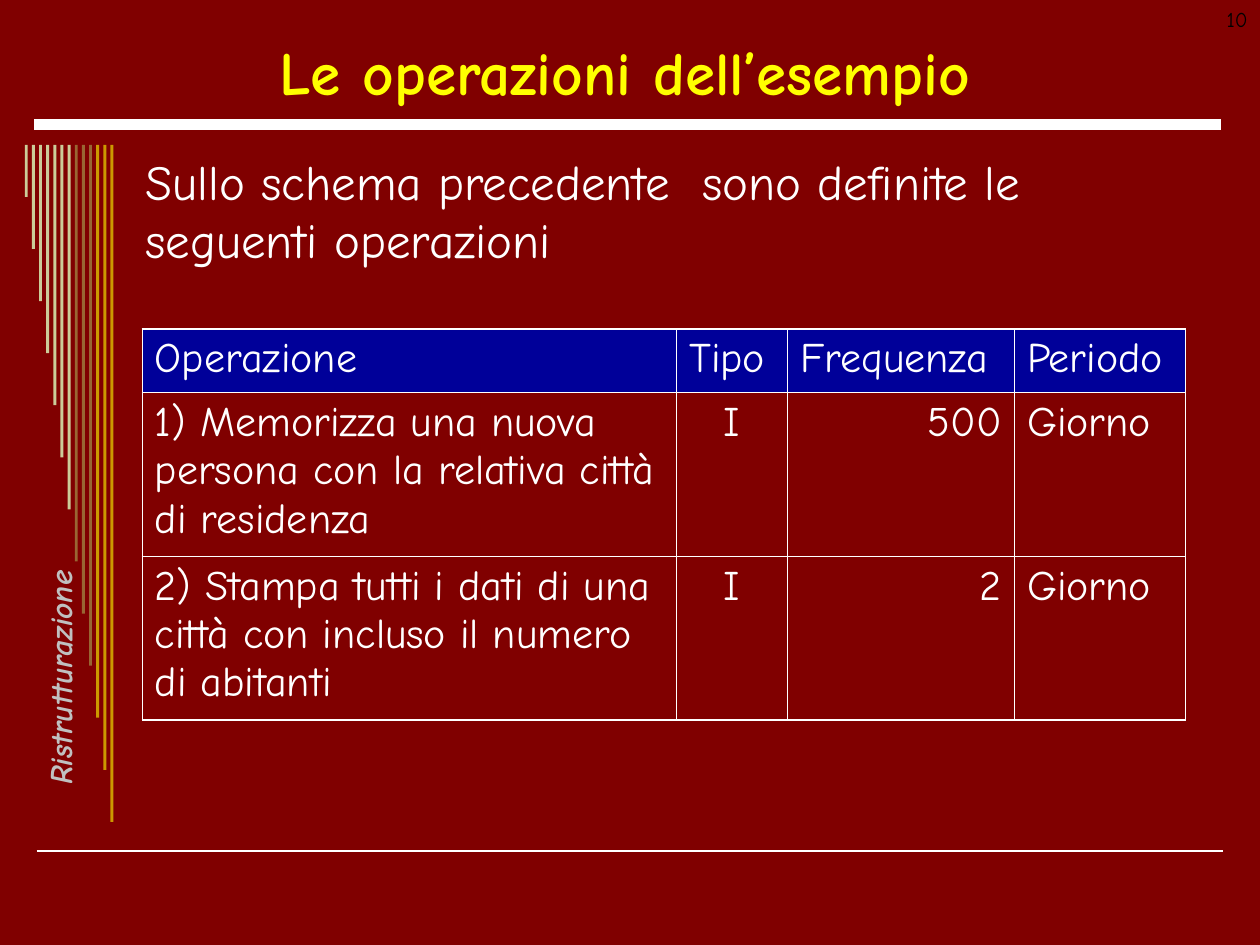
from dataclasses import dataclass

from lxml.etree import SubElement
from pptx import Presentation
from pptx.dml.color import RGBColor
from pptx.enum.shapes import MSO_CONNECTOR, MSO_SHAPE
from pptx.enum.text import MSO_ANCHOR, PP_ALIGN
from pptx.oxml.ns import qn
from pptx.util import Cm, Pt

FONT = "Comic Neue"
WHITE = "FFFFFF"
BAR_COLOURS = ["CCCC99"] * 7 + ["996633"] * 3 + ["CC9900"] * 3
COLUMN_WIDTHS = [10.77, 2.24, 4.57, 3.45]
ROW_HEIGHTS = [1.28, 3.3, 3.3]
OPERATIONS = [
    ["Operazione", "Tipo", "Frequenza", "Periodo"],
    ["1) Memorizza una nuova persona con la relativa città di residenza",
     "I", "500", "Giorno"],
    ["2) Stampa tutti i dati di una città con incluso il numero di abitanti",
     "I", "2", "Giorno"],
]
BODY_ALIGNMENTS = [PP_ALIGN.LEFT, PP_ALIGN.CENTER, PP_ALIGN.RIGHT, PP_ALIGN.LEFT]


@dataclass
class Label:
    text: str
    left: float
    top: float
    width: float
    height: float
    size: float
    colour: str
    align: PP_ALIGN = PP_ALIGN.LEFT
    anchor: MSO_ANCHOR = MSO_ANCHOR.TOP
    bold: bool = False
    italic: bool = False
    rotation: float = 0
    wrap: bool = True


LABELS = [
    Label("Ristrutturazione", -1.9, 13.36, 5.8, 0.6, 18, "C0C0C0",
          PP_ALIGN.CENTER, bold=True, italic=True, rotation=270, wrap=False),
    Label("Le operazioni dell’esempio", 0.9, 0.53, 23.4, 1.8, 35, "FFFF00",
          PP_ALIGN.CENTER, MSO_ANCHOR.MIDDLE, bold=True),
    Label("Sullo schema precedente  sono definite le seguenti operazioni",
          2.69, 2.92, 21.64, 14, 28, WHITE),
    Label("10", 19.48, 0, 5.92, 1.27, 12, "000000", PP_ALIGN.RIGHT),
]


def rgb(colour: str) -> RGBColor:
    return RGBColor.from_string(colour)


def format_text(frame, size: float, colour: str, align: PP_ALIGN,
                bold: bool = False, italic: bool = False) -> None:
    para = frame.paragraphs[0]
    para.alignment = align
    for span in para.runs:
        span.font.name = FONT
        span.font.size = Pt(size)
        span.font.bold = bold
        span.font.italic = italic
        span.font.color.rgb = rgb(colour)


def add_label(page, label: Label) -> None:
    box = page.shapes.add_textbox(Cm(label.left), Cm(label.top),
                                  Cm(label.width), Cm(label.height))
    box.rotation = label.rotation
    frame = box.text_frame
    frame.word_wrap = label.wrap
    frame.vertical_anchor = label.anchor
    frame.text = label.text
    format_text(frame, label.size, label.colour, label.align,
                label.bold, label.italic)


def add_rule(page, left: float, right: float, top: float, weight: float) -> None:
    rule = page.shapes.add_connector(MSO_CONNECTOR.STRAIGHT, Cm(left), Cm(top),
                                     Cm(right), Cm(top))
    rule.line.color.rgb = rgb(WHITE)
    rule.line.width = Pt(weight)
    SubElement(rule._element.spPr, qn("a:effectLst"))


def add_bars(page) -> None:
    """Draw the hanging bars, each longer than the one on its left."""
    for index, colour in enumerate(BAR_COLOURS):
        bar = page.shapes.add_shape(
            MSO_SHAPE.RECTANGLE, Cm(0.5 + 0.144 * index), Cm(2.92),
            Cm(0.06), Cm(1.05 * (index + 1)))
        bar.shadow.inherit = False
        bar.fill.solid()
        bar.fill.fore_color.rgb = rgb(colour)
        bar.line.fill.background()


def set_borders(cell, row: int, column: int) -> None:
    """Give outer table edges a heavier line than inner ones."""
    outer_edges = {
        "a:lnL": column == 0,
        "a:lnR": column == len(COLUMN_WIDTHS) - 1,
        "a:lnT": row == 0,
        "a:lnB": row == len(ROW_HEIGHTS) - 1,
    }
    properties = cell._tc.get_or_add_tcPr()
    for tag, is_outer in outer_edges.items():
        line = SubElement(properties, qn(tag), w=str(Pt(1.08 if is_outer else 0.45)))
        fill = SubElement(line, qn("a:solidFill"))
        SubElement(fill, qn("a:srgbClr"), val=WHITE)


def add_operations_table(page) -> None:
    table = page.shapes.add_table(
        len(ROW_HEIGHTS), len(COLUMN_WIDTHS), Cm(2.87), Cm(6.63),
        Cm(sum(COLUMN_WIDTHS)), Cm(sum(ROW_HEIGHTS))).table
    for column, width in zip(table.columns, COLUMN_WIDTHS):
        column.width = Cm(width)
    for row, height in zip(table.rows, ROW_HEIGHTS):
        row.height = Cm(height)
    for row_index, texts in enumerate(OPERATIONS):
        for column_index, text in enumerate(texts):
            cell = table.cell(row_index, column_index)
            is_header = row_index == 0
            set_borders(cell, row_index, column_index)
            if is_header:
                cell.fill.solid()
                cell.fill.fore_color.rgb = rgb("000099")
            else:
                cell.fill.background()
            cell.text_frame.text = text
            align = PP_ALIGN.LEFT if is_header else BODY_ALIGNMENTS[column_index]
            format_text(cell.text_frame, 24, WHITE, align)


def main() -> None:
    deck = Presentation()
    deck.slide_width, deck.slide_height = Cm(25.4), Cm(19.05)
    page = deck.slides.add_slide(deck.slide_layouts[6])
    page.background.fill.solid()
    page.background.fill.fore_color.rgb = rgb("800000")
    add_rule(page, 0.74, 24.66, 17.15, 1)
    add_rule(page, 0.69, 24.61, 2.51, 6)
    add_bars(page)
    for label in LABELS:
        add_label(page, label)
    add_operations_table(page)
    deck.save("out.pptx")


if __name__ == "__main__":
    main()
